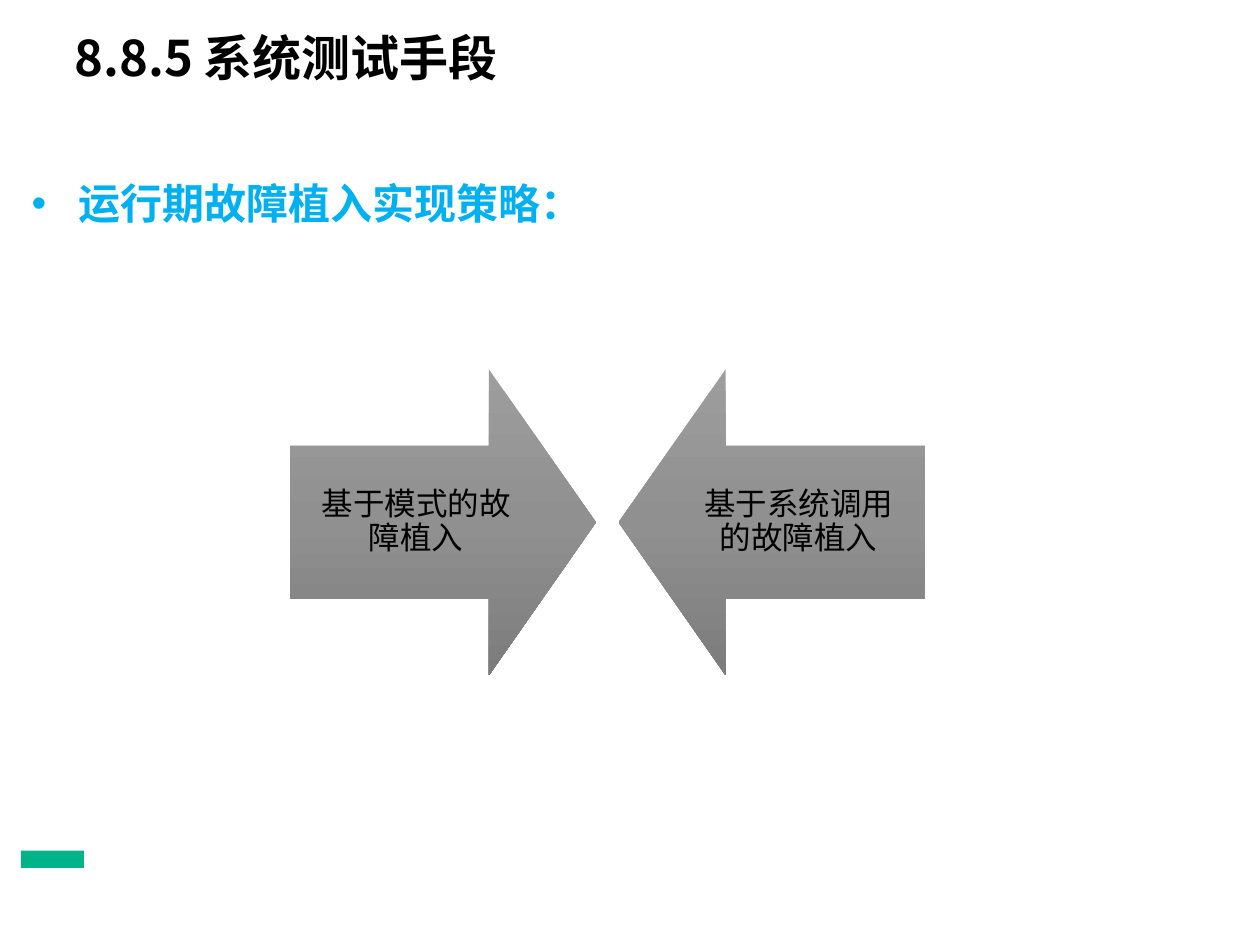
from copy import deepcopy

from lxml.etree import SubElement
from pptx import Presentation
from pptx.dml.color import RGBColor
from pptx.enum.shapes import MSO_SHAPE as Shape
from pptx.enum.text import MSO_ANCHOR as Anchor, PP_ALIGN as Align
from pptx.oxml.ns import qn
from pptx.util import Pt

FONT = "Noto Sans CJK SC"
BLACK = RGBColor(0x00, 0x00, 0x00)
BLUE = RGBColor(0x00, 0xB0, 0xF0)
GREEN = RGBColor(0x00, 0xB3, 0x88)
ARROW_STOPS = [
    (0, RGBColor(0x9D, 0x9D, 0x9D)),
    (0.5, RGBColor(0x90, 0x90, 0x90)),
    (1, RGBColor(0x7C, 0x7C, 0x7C)),
]


def set_attributes(target, values):
    for name, value in values.items():
        setattr(target, name, value)


def write_text(paragraph, text, size, color, bold=False):
    run = paragraph.add_run()
    run.text = text
    run.font.color.rgb = color
    set_attributes(run.font, {"name": FONT, "size": Pt(size), "bold": bold})
    SubElement(run._r.get_or_add_rPr(), qn("a:ea"), typeface=FONT)


def set_hanging_indent(paragraph, indent, bullet=None):
    properties = paragraph._p.get_or_add_pPr()
    properties.set("marL", str(Pt(indent)))
    properties.set("indent", str(-Pt(indent)))
    if bullet:
        SubElement(properties, qn("a:buFont"), typeface="Arial")
        SubElement(properties, qn("a:buChar"), char=bullet)


def add_heading(slide, box, text, size, color, indent, bullet=None):
    text_box = slide.shapes.add_textbox(*map(Pt, box))
    frame = text_box.text_frame
    set_attributes(frame, {"word_wrap": True, "margin_top": 0})
    paragraph = frame.paragraphs[0]
    set_hanging_indent(paragraph, indent, bullet)
    write_text(paragraph, text, size, color, bold=True)


def fill_with_gradient(shape, stops):
    """Fill from top to bottom with three colour stops."""
    shape.fill.gradient()
    shape.fill.gradient_angle = 270
    stop_list = shape._element.spPr.find(".//" + qn("a:gsLst"))
    stop_list.append(deepcopy(stop_list[0]))
    for stop, (position, color) in zip(shape.fill.gradient_stops, stops):
        stop.position = position
        stop.color.rgb = color


def add_arrow(slide, kind, box, text):
    arrow = slide.shapes.add_shape(kind, *map(Pt, box))
    arrow.shadow.inherit = False
    arrow.line.fill.background()
    arrow.adjustments[0] = 0.5
    arrow.adjustments[1] = 0.35
    fill_with_gradient(arrow, ARROW_STOPS)
    frame = arrow.text_frame
    margins = {f"margin_{side}": Pt(10) for side in ("left", "top", "right", "bottom")}
    set_attributes(frame, {"word_wrap": True, "vertical_anchor": Anchor.MIDDLE, **margins})
    paragraph = frame.paragraphs[0]
    set_attributes(paragraph, {"alignment": Align.CENTER, "line_spacing": 0.9})
    write_text(paragraph, text, 18, BLACK)


def add_facing_arrows(slide, box):
    """Two square arrows at the ends of the box, pointing at each other."""
    left, top, width, size = box
    add_arrow(slide, Shape.RIGHT_ARROW, (left, top, size, size), "基于模式的故障植入")
    add_arrow(slide, Shape.LEFT_ARROW, (left + width - size, top, size, size),
              "基于系统调用的故障植入")


def add_logo_placeholder(slide, box):
    block = slide.shapes.add_shape(Shape.RECTANGLE, *map(Pt, box))
    block.shadow.inherit = False
    block.fill.solid()
    block.fill.fore_color.rgb = GREEN
    block.line.fill.background()


def main():
    presentation = Presentation()
    set_attributes(presentation, {"slide_width": Pt(720), "slide_height": Pt(540)})
    slide = presentation.slides.add_slide(presentation.slide_layouts[6])
    add_logo_placeholder(slide, (12, 486, 36, 10))
    add_heading(slide, (35.5, 16, 648, 50), "8.8.5 系统测试手段", 28, BLACK, 72)
    add_heading(slide, (11, 101.5, 336, 36), "运行期故障植入实现策略：", 24, BLUE, 27, "•")
    add_facing_arrows(slide, (165.6, 211, 362.9, 175))
    presentation.save("out.pptx")


if __name__ == "__main__":
    main()
